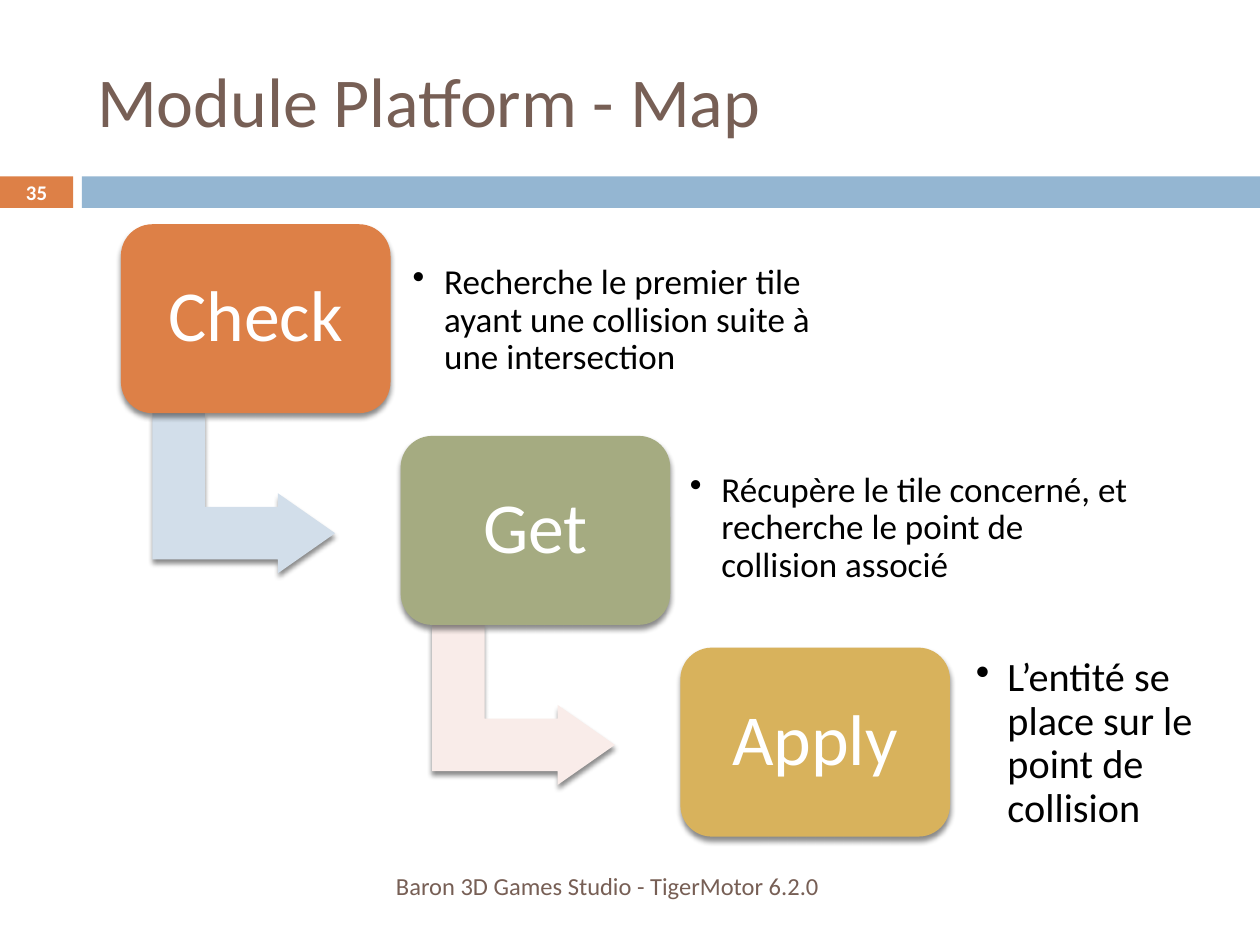
from lxml.etree import SubElement
from pptx import Presentation
from pptx.dml.color import RGBColor
from pptx.enum.shapes import MSO_SHAPE as Shape
from pptx.enum.text import MSO_ANCHOR as Anchor, PP_ALIGN as Align
from pptx.oxml.ns import qn
from pptx.util import Pt

COLORS = {
    "orange": "DD8047", "blue": "94B6D2", "green": "A5AB81", "gold": "D8B25C",
    "pale_blue": "D2DEEA", "pale_pink": "F9ECE9",
    "brown": "775F55", "white": "FFFFFF", "black": "000000",
}
STEPS = [
    ("Check", "orange", "pale_blue", 20, (228.24, 139.68, 246.24, 87.12),
     "Recherche le premier tile ayant une collision suite à une intersection"),
    ("Get", "green", "pale_pink", 20, (386.64, 258.48, 270, 87.12),
     "Récupère le tile concerné, et recherche le point de collision associé"),
    ("Apply", "gold", None, 23, (550.08, 378, 140.4, 94.32),
     "L’entité se place sur le point de collision"),
]
FIRST_LEFT, FIRST_TOP = 69.12, 128.16
STEP_RIGHT, STEP_DOWN = 159.84, 120.96
BOX_WIDTH, BOX_HEIGHT = 154.08, 108


def color(name):
    return RGBColor.from_string(COLORS[name])


def write(shape, text, size, color_name, align=Align.LEFT, bold=False, inset=None):
    frame = shape.text_frame
    frame.word_wrap = True
    frame.vertical_anchor = Anchor.MIDDLE
    if inset is not None:
        frame.margin_left = frame.margin_right = Pt(inset)
        frame.margin_top = frame.margin_bottom = Pt(inset)
    paragraph = frame.paragraphs[0]
    paragraph.text = text
    paragraph.alignment = align
    font = paragraph.font
    font.name, font.size, font.bold = "Calibri", Pt(size), bold
    font.color.rgb = color(color_name)
    return paragraph


def add_text(slide, box, *args, **options):
    return write(slide.shapes.add_textbox(*map(Pt, box)), *args, **options)


def add_filled(slide, kind, box, fill, adjustments=()):
    shape = slide.shapes.add_shape(kind, *map(Pt, box))
    shape.shadow.inherit = False
    shape.fill.solid()
    shape.fill.fore_color.rgb = color(fill)
    shape.line.fill.background()
    for index, value in enumerate(adjustments):
        shape.adjustments[index] = value
    return shape


def add_shadow(shape):
    effects = shape._element.spPr.find(qn("a:effectLst"))
    shadow = SubElement(effects, qn("a:outerShdw"), blurRad=str(Pt(3)),
                        dist=str(Pt(2.4)), dir="5400000", rotWithShape="0")
    tint = SubElement(shadow, qn("a:srgbClr"), val=COLORS["black"])
    SubElement(tint, qn("a:alpha"), val="45000")


def add_bullet(slide, box, text, size):
    paragraph = add_text(slide, box, text, size, "black", inset=7.6)
    paragraph.line_spacing = 0.9
    properties = paragraph._p.get_or_add_pPr()
    properties.set("marL", str(Pt(18)))
    properties.set("indent", str(Pt(-18)))
    SubElement(properties, qn("a:buChar"), char="•")
    properties.append(properties.find(qn("a:defRPr")))


def add_step(slide, index, name, fill, arrow_fill, size, bullet_box, detail):
    left = FIRST_LEFT + index * STEP_RIGHT
    top = FIRST_TOP + index * STEP_DOWN
    if arrow_fill:
        arrow = add_filled(slide, Shape.BENT_UP_ARROW,
                           (left + 24.48, top + 101.52, 91.44, 104.4),
                           arrow_fill, (0.328, 0.25, 0.358))
        arrow.rotation = 90
        add_shadow(arrow)
    box = add_filled(slide, Shape.ROUNDED_RECTANGLE,
                     (left, top, BOX_WIDTH, BOX_HEIGHT), fill, (0.167,))
    add_shadow(box)
    label = write(box, name, 41, "white", Align.CENTER, inset=12.24)
    label.line_spacing = 0.9
    add_bullet(slide, bullet_box, detail, size)


def add_title(slide, text):
    title = slide.shapes.title
    title.left, title.top, title.width, title.height = map(Pt, (48.24, 18, 642.24, 77.76))
    write(title, text, 40, "brown")


def main():
    """Build the slide showing the three cascading steps of the map module."""
    presentation = Presentation()
    presentation.slide_width, presentation.slide_height = Pt(720), Pt(540)
    slide = presentation.slides.add_slide(presentation.slide_layouts[5])
    add_filled(slide, Shape.RECTANGLE, (0, 100.8, 41.76, 18), "orange")
    add_filled(slide, Shape.RECTANGLE, (46.8, 100.8, 673.2, 18), "blue")
    add_title(slide, "Module Platform - Map")
    add_text(slide, (48.24, 491.76, 426.96, 28.8),
             "Baron 3D Games Studio - TigerMotor 6.2.0", 14, "brown", Align.RIGHT)
    add_text(slide, (0, 100.08, 41.76, 19.44), "35", 11.9, "white",
             Align.CENTER, bold=True)
    for index, step in enumerate(STEPS):
        add_step(slide, index, *step)
    presentation.save("out.pptx")


if __name__ == "__main__":
    main()
